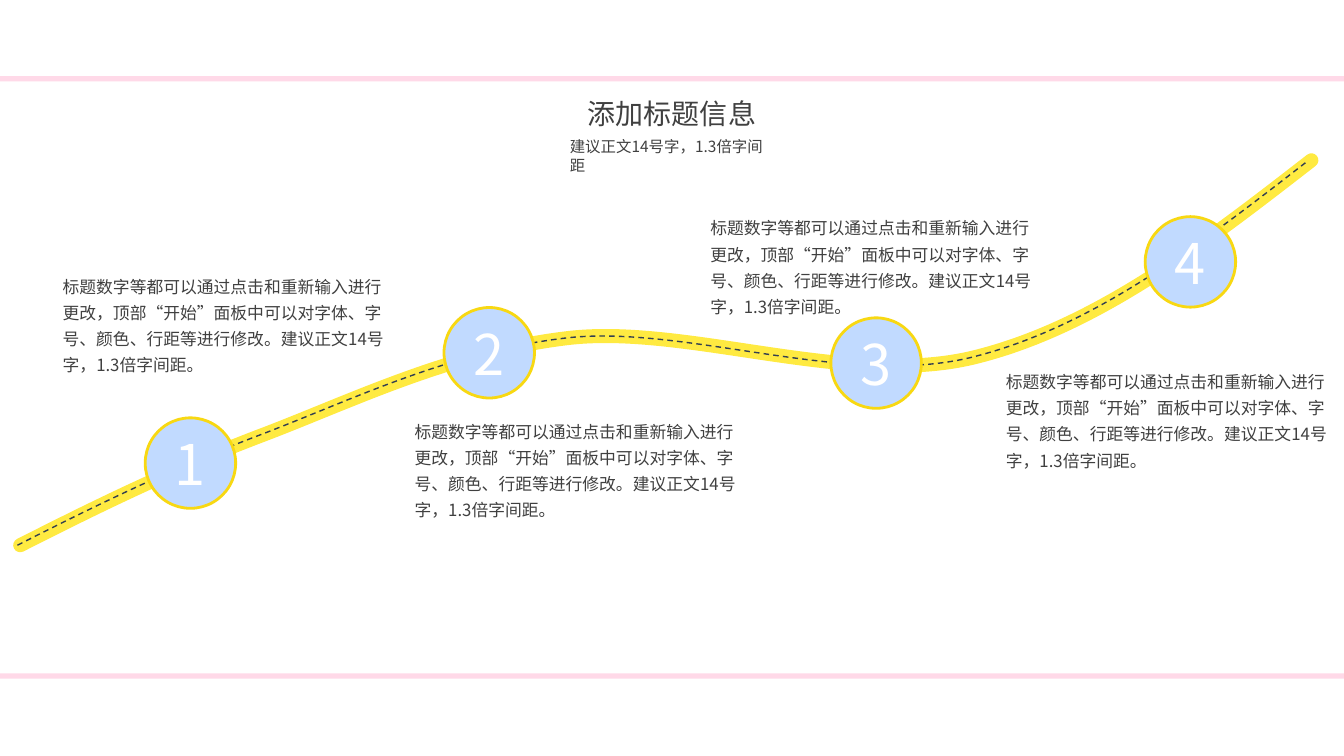
from dataclasses import dataclass

import lxml.etree
import pptx
import pptx.dml.color
import pptx.enum.dml
import pptx.enum.shapes
import pptx.enum.text
import pptx.oxml.ns
import pptx.util
from pptx.oxml.ns import qn
from pptx.util import Cm

FONT = "Noto Sans CJK SC"
COLOURS = {
    "band": "FFD9E8",
    "text": "404040",
    "road": "FFEA41",
    "lane": "333F50",
    "disc": "C1DAFF",
    "rim": "F8D812",
    "number": "FFFFFF",
}
SLIDE_WIDTH, SLIDE_HEIGHT = 33.87, 19.05
BAND_TOPS = (1.92, 16.97)
DISC_SIZE = 2.28
BODY_WIDTH, BODY_HEIGHT = 8.86, 2.87
BODY = (
    "标题数字等都可以通过点击和重新输入进行更改，顶部“开始”面板中可以对字体、"
    "字号、颜色、行距等进行修改。建议正文14号字，1.3倍字间距。"
)
ROAD_KNOTS = (
    (0.51, 13.74), (2.46, 12.75), (4.42, 11.79),
    (6.73, 10.92), (9.04, 10.03), (11.46, 8.84),
    (14.4, 8.51), (17.37, 8.2), (21.36, 9.75),
    (24.49, 9.02), (27.58, 8.28), (30.33, 6.15),
    (33.05, 4.04),
)


@dataclass(frozen=True)
class Milestone:
    disc_left: float
    disc_top: float
    body_left: float
    body_top: float


@dataclass(frozen=True)
class Stroke:
    colour: str
    width: float
    offset: float
    dashed: bool


MILESTONES = (
    Milestone(3.66, 10.53, 1.33, 6.69),
    Milestone(11.19, 7.75, 10.2, 10.34),
    Milestone(20.94, 8.01, 17.65, 5.22),
    Milestone(28.86, 5.46, 25.1, 9.09),
)
STROKES = (Stroke("road", 10, 0, False), Stroke("lane", 1, -0.07, True))


def colour(name: str) -> pptx.dml.color.RGBColor:
    return pptx.dml.color.RGBColor.from_string(COLOURS[name])


def write(shape, text: str, size: float, colour_name: str,
          centred: bool = False, spacing: float | None = None) -> None:
    frame = shape.text_frame
    frame.word_wrap = True
    frame.text = text
    paragraph = frame.paragraphs[0]
    if centred:
        paragraph.alignment = pptx.enum.text.PP_ALIGN.CENTER
    if spacing:
        paragraph.line_spacing = spacing
    font = paragraph.font
    font.size = pptx.util.Pt(size)
    font.name = FONT
    font.color.rgb = colour(colour_name)
    properties = paragraph._p.pPr.find(qn("a:defRPr"))
    lxml.etree.SubElement(properties, qn("a:ea")).set("typeface", FONT)


def add_text(slide, left: float, top: float, width: float, height: float,
             text: str, size: float, spacing: float | None = None) -> None:
    box = slide.shapes.add_textbox(Cm(left), Cm(top), Cm(width), Cm(height))
    write(box, text, size, "text", spacing=spacing)


def add_filled(slide, kind, left: float, top: float, width: float,
               height: float, fill: str):
    shape = slide.shapes.add_shape(kind, Cm(left), Cm(top), Cm(width), Cm(height))
    shape.shadow.inherit = False
    shape.fill.solid()
    shape.fill.fore_color.rgb = colour(fill)
    shape.line.fill.background()
    return shape


def bend_segments(freeform) -> None:
    outline = next(freeform.element.iter(qn("a:path")))
    segments = outline.findall(qn("a:lnTo"))
    for first in range(0, len(segments), 3):
        curve = lxml.etree.SubElement(outline, qn("a:cubicBezTo"))
        for segment in segments[first:first + 3]:
            curve.append(segment[0])
            outline.remove(segment)


def add_road(slide, stroke: Stroke) -> None:
    points = [(Cm(x + stroke.offset), Cm(y)) for x, y in ROAD_KNOTS]
    builder = slide.shapes.build_freeform(*points[0])
    builder.add_line_segments(points[1:], close=False)
    road = builder.convert_to_shape()
    bend_segments(road)
    road.shadow.inherit = False
    road.fill.background()
    road.line.color.rgb = colour(stroke.colour)
    road.line.width = pptx.util.Pt(stroke.width)
    if stroke.dashed:
        road.line.dash_style = pptx.enum.dml.MSO_LINE.DASH
    else:
        outline = road.element.spPr.find(qn("a:ln"))
        outline.set("cap", "rnd")
        lxml.etree.SubElement(outline, qn("a:round"))


def add_disc(slide, number: int, milestone: Milestone) -> None:
    disc = add_filled(slide, pptx.enum.shapes.MSO_SHAPE.OVAL, milestone.disc_left,
                      milestone.disc_top, DISC_SIZE, DISC_SIZE, "disc")
    disc.line.color.rgb = colour("rim")
    disc.line.width = pptx.util.Pt(2)
    disc.text_frame.vertical_anchor = pptx.enum.text.MSO_ANCHOR.MIDDLE
    write(disc, str(number), 40, "number", centred=True)


def add_title(slide) -> None:
    title = slide.shapes.title
    title.left, title.top = Cm(13.67), Cm(2.31)
    title.width, title.height = Cm(6.53), Cm(1.12)
    title.text_frame.vertical_anchor = pptx.enum.text.MSO_ANCHOR.TOP
    title.text_frame.auto_size = pptx.enum.text.MSO_AUTO_SIZE.NONE
    write(title, "添加标题信息", 20, "text", centred=True)


def main() -> None:
    presentation = pptx.Presentation()
    presentation.slide_width = Cm(SLIDE_WIDTH)
    presentation.slide_height = Cm(SLIDE_HEIGHT)
    slide = presentation.slides.add_slide(presentation.slide_layouts[5])
    for top in BAND_TOPS:
        add_filled(slide, pptx.enum.shapes.MSO_SHAPE.RECTANGLE,
                   0, top, SLIDE_WIDTH, 0.13, "band")
    add_title(slide)
    add_text(slide, 14.11, 3.34, 5.66, 0.74, "建议正文14号字，1.3倍字间距", 11)
    for stroke in STROKES:
        add_road(slide, stroke)
    for number, milestone in enumerate(MILESTONES, start=1):
        add_disc(slide, number, milestone)
    for milestone in MILESTONES:
        add_text(slide, milestone.body_left, milestone.body_top,
                 BODY_WIDTH, BODY_HEIGHT, BODY, 12, spacing=1.3)
    presentation.save("out.pptx")


if __name__ == "__main__":
    main()
